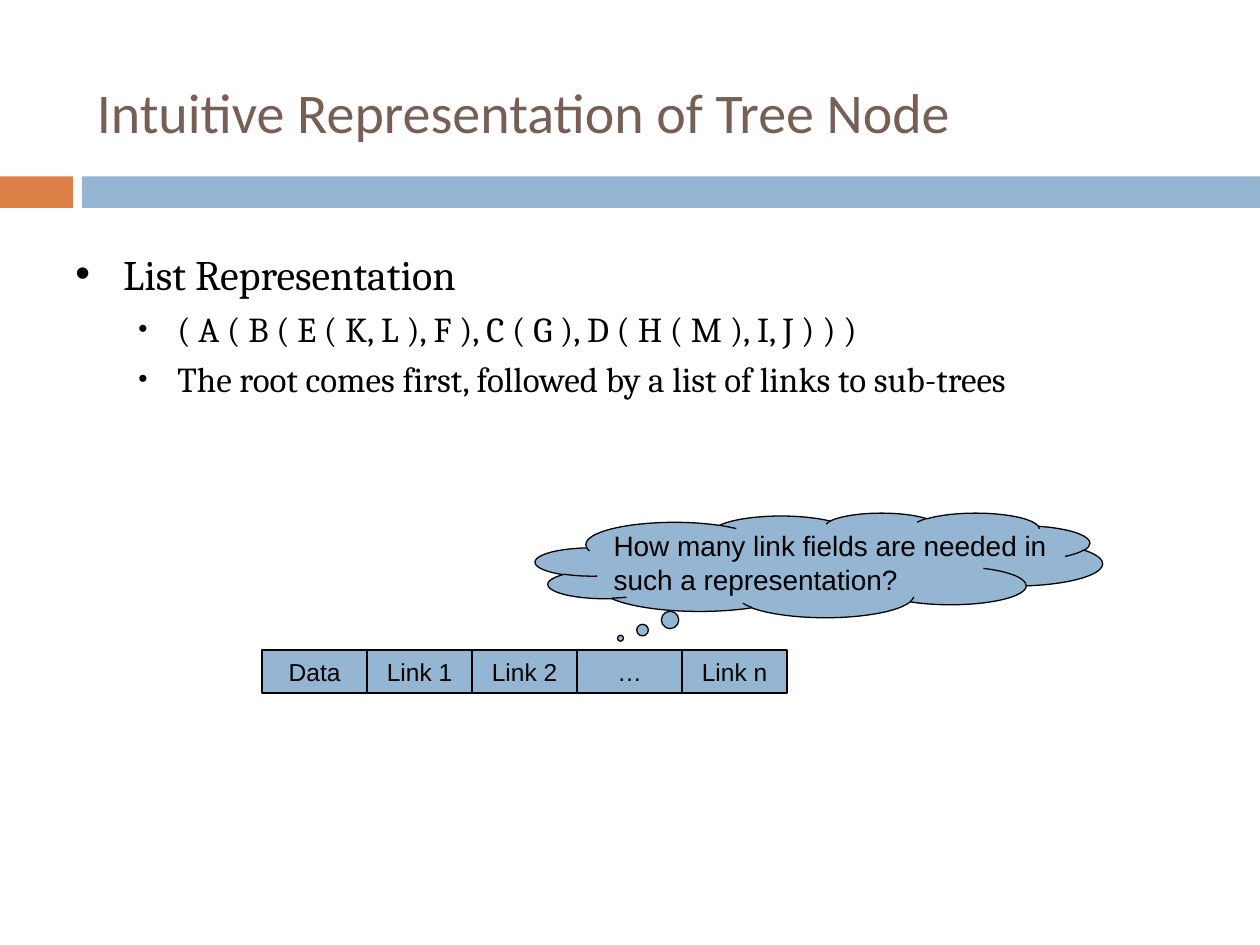
from dataclasses import dataclass

from lxml import etree
from pptx import Presentation
from pptx.dml.color import RGBColor
from pptx.enum.shapes import MSO_SHAPE
from pptx.enum.text import MSO_ANCHOR, PP_ALIGN
from pptx.oxml.ns import qn
from pptx.util import Inches, Pt

RECT, CLOUD = MSO_SHAPE.RECTANGLE, MSO_SHAPE.CLOUD_CALLOUT
TOP, MIDDLE = MSO_ANCHOR.TOP, MSO_ANCHOR.MIDDLE
LEFT, CENTER = PP_ALIGN.LEFT, PP_ALIGN.CENTER


@dataclass(frozen=True)
class Theme:
    blue: str = "94B6D2"
    orange: str = "DD8047"
    brown: str = "775F55"
    black: str = "000000"
    head: str = "Calibri"
    body: str = "Cambria"
    label: str = "Arial"
    title: int = 32
    levels: tuple = (24, 20)
    cell: int = 14
    cloud: int = 16


class Deck:
    def __init__(self, theme):
        self.theme = theme
        self.prs = Presentation()
        self.prs.slide_width, self.prs.slide_height = Inches(10), Inches(7.5)
        self.slide = self.prs.slides.add_slide(self.prs.slide_layouts[6])

    def style(self, para, face, size, color):
        for run in para.runs:
            run.font.name, run.font.size = face, Pt(size)
            run.font.color.rgb = RGBColor.from_string(color)

    def shape(self, kind, box, fill, line=None):
        item = self.slide.shapes.add_shape(kind, *map(Inches, box))
        item.shadow.inherit = False
        item.fill.solid()
        item.fill.fore_color.rgb = RGBColor.from_string(fill)
        if line:
            item.line.color.rgb = RGBColor.from_string(line)
            item.line.width = Pt(0.75)
        else:
            item.line.fill.background()
        return item

    def title(self, text, box):
        frame = self.slide.shapes.add_textbox(*map(Inches, box)).text_frame
        frame.word_wrap, frame.vertical_anchor = True, MIDDLE
        frame.text = text
        t = self.theme
        self.style(frame.paragraphs[0], t.head, t.title, t.brown)

    def bullet(self, para, left, hang, scale):
        props = para._p.get_or_add_pPr()
        props.set("marL", str(Inches(left)))
        props.set("indent", str(-Inches(hang)))
        for tag, key, value in (("buSzPct", "val", str(scale * 1000)),
                                ("buFont", "typeface", self.theme.label),
                                ("buChar", "char", "•")):
            etree.SubElement(props, qn("a:" + tag)).set(key, value)

    def outline(self, items, box):
        """Add a bulleted list of (level, text) pairs."""
        frame = self.slide.shapes.add_textbox(*map(Inches, box)).text_frame
        frame.word_wrap = True
        t = self.theme
        indents = ((0.38, 0.38, 100), (0.81, 0.31, 75))
        for i, (level, text) in enumerate(items):
            para = frame.add_paragraph() if i else frame.paragraphs[0]
            para.text, para.level = text, level
            self.bullet(para, *indents[level])
            if i:
                para.space_before = Pt(5)
            self.style(para, t.body, t.levels[level], t.black)

    def node(self, fields, left, top, width, height):
        """Draw a record as a row of equal, touching fields."""
        t = self.theme
        for i, text in enumerate(fields):
            box = (left + i * width, top, width, height)
            frame = self.shape(RECT, box, t.blue, t.black).text_frame
            frame.text = text
            frame.paragraphs[0].alignment = CENTER
            self.style(frame.paragraphs[0], t.label, t.cell, t.black)

    def cloud(self, lines, box, tail):
        t = self.theme
        item = self.shape(CLOUD, box, t.blue, t.black)
        item.adjustments[0], item.adjustments[1] = tail
        frame = item.text_frame
        frame.word_wrap, frame.vertical_anchor = False, TOP
        frame.margin_left = frame.margin_right = 0
        frame.margin_top = frame.margin_bottom = 0
        frame.text = "\n".join(lines)
        for para in frame.paragraphs:
            para.alignment = LEFT
            self.style(para, t.label, t.cloud, t.black)


def main():
    theme = Theme()
    deck = Deck(theme)
    deck.shape(RECT, (0, 1.4, 0.58, 0.25), theme.orange)
    deck.shape(RECT, (0.65, 1.4, 9.35, 0.25), theme.blue)
    deck.title("Intuitive Representation of Tree Node", (0.67, 0.5, 8.93, 0.76))
    deck.outline([
        (0, "List Representation"),
        (1, "( A ( B ( E ( K, L ), F ), C ( G ), D ( H ( M ), I, J ) ) )"),
        (1, "The root comes first, followed by a list of links to sub-trees"),
    ], (0.5, 1.92, 8.5, 4.5))
    deck.node(("Data", "Link 1", "Link 2", "…", "Link n"),
              2.08, 5.16, 2.5 / 3, 0.34)
    deck.cloud(("How many link fields are needed in",
                "such a representation?"),
               (4.25, 4.07, 4.5, 0.83), (-0.35, 0.7))
    deck.prs.save("out.pptx")


if __name__ == "__main__":
    main()
